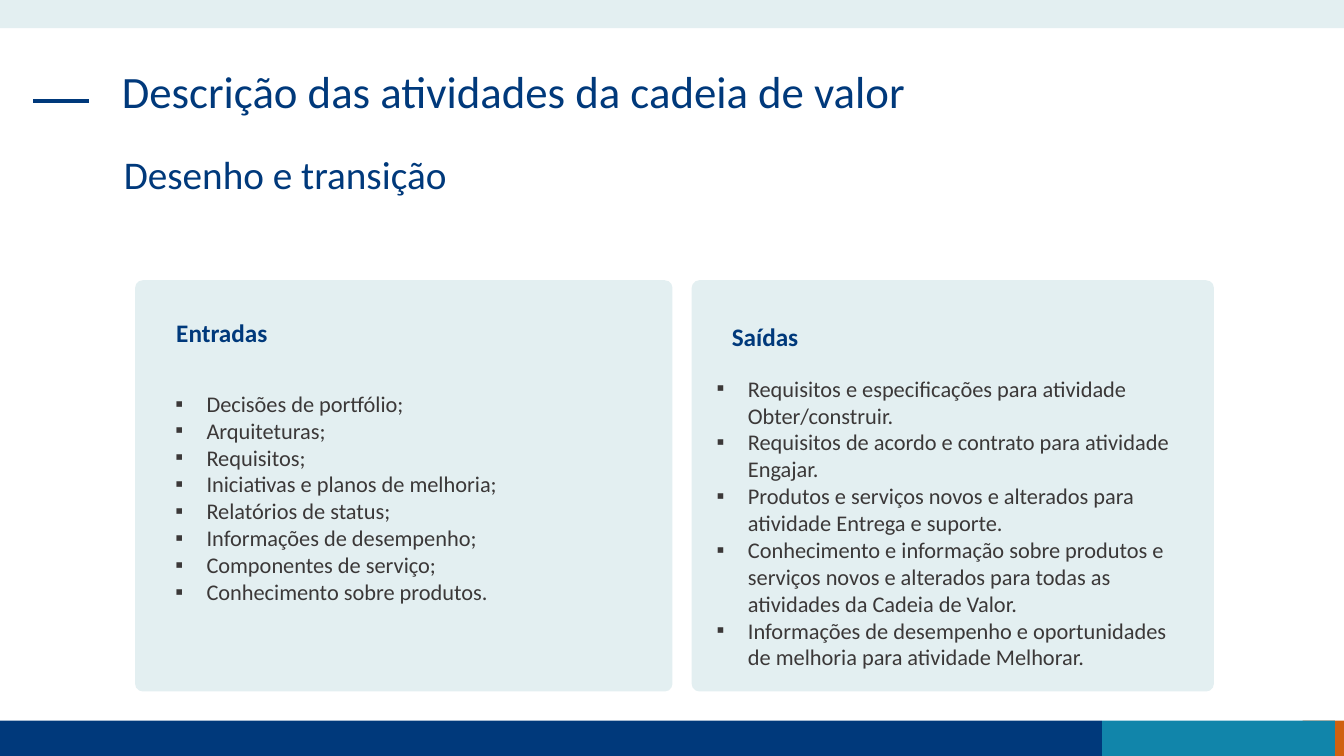
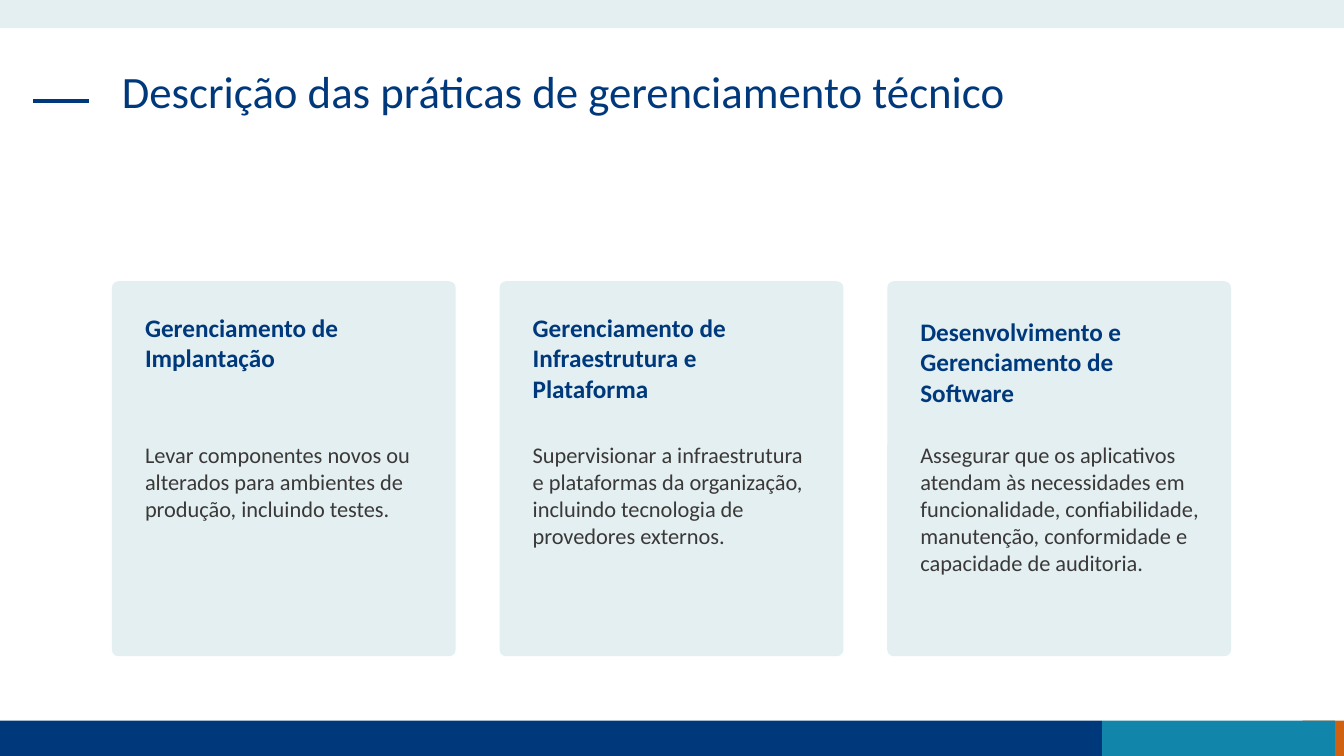
from pptx import Presentation
from pptx import util as u
from pptx.dml.color import RGBColor
from pptx.enum import shapes, text
from pptx.oxml.ns import qn
from lxml import etree


class Theme:
    navy = RGBColor.from_string("00397B")
    teal = RGBColor.from_string("1185AA")
    orange = RGBColor.from_string("D06110")
    pale = RGBColor.from_string("E3EFF1")
    body_ink = RGBColor.from_string("3B3838")
    font = "Calibri"
    title_size = u.Pt(32)
    subtitle_size = u.Pt(28)
    heading_size = u.Pt(18)
    body_size = u.Pt(16)
    indent = u.Inches(0.31)


def add_panel(slide, box, color, kind=shapes.MSO_SHAPE.RECTANGLE):
    panel = slide.shapes.add_shape(kind, *map(u.Inches, box))
    panel.shadow.inherit = False
    panel.fill.solid()
    panel.fill.fore_color.rgb = color
    panel.line.fill.background()
    return panel


def add_text(slide, box, lines, size, color, bold=False, spacing=None, bullets=False):
    frame = slide.shapes.add_textbox(*map(u.Inches, box)).text_frame
    frame.word_wrap = True
    frame.vertical_anchor = text.MSO_ANCHOR.TOP
    frame.text = "\n".join(lines)
    for paragraph in frame.paragraphs:
        if spacing:
            paragraph.line_spacing = spacing
        if bullets:
            props = paragraph._p.get_or_add_pPr()
            props.set("marL", str(Theme.indent))
            props.set("indent", str(-Theme.indent))
            etree.SubElement(props, qn("a:buFont")).set("typeface", "Arial")
            etree.SubElement(props, qn("a:buChar")).set("char", "▪")
        for run in paragraph.runs:
            run.font.name = Theme.font
            run.font.size = size
            run.font.bold = bold
            run.font.color.rgb = color


bands = [
    ((12.92, 7.15, 0.41, 0.35), Theme.orange),
    ((0, 7.15, 10.93, 0.35), Theme.navy),
    ((10.93, 7.15, 2.31, 0.35), Theme.teal),
    ((0, 0, 13.33, 0.28), Theme.pale),
]

inputs = [
    "Decisões de portfólio;",
    "Arquiteturas;",
    "Requisitos;",
    "Iniciativas e planos de melhoria;",
    "Relatórios de status;",
    "Informações de desempenho;",
    "Componentes de serviço;",
    "Conhecimento sobre produtos.",
]
outputs = [
    "Requisitos e especificações para atividade Obter/construir.",
    "Requisitos de acordo e contrato para atividade Engajar.",
    "Produtos e serviços novos e alterados para atividade Entrega e suporte.",
    "Conhecimento e informação sobre produtos e serviços novos e alterados "
    "para todas as atividades da Cadeia de Valor.",
    "Informações de desempenho e oportunidades de melhoria para atividade Melhorar.",
]
activity_cards = [
    ((1.34, 2.78, 5.33, 4.08), "Entradas", (1.65, 3.1, 2.96, 0.4),
     inputs, (1.64, 3.82, 4.72, 2.26)),
    ((6.86, 2.78, 5.18, 4.08), "Saídas", (7.16, 3.14, 2.96, 0.4),
     outputs, (7.01, 3.67, 4.88, 3.06)),
]

practices = [
    ("Gerenciamento de Implantação", 3.05,
     "Levar componentes novos ou alterados para ambientes de produção, "
     "incluindo testes."),
    ("Gerenciamento de Infraestrutura e Plataforma", 3.05,
     "Supervisionar a infraestrutura e plataformas da organização, "
     "incluindo tecnologia de provedores externos."),
    ("Desenvolvimento e Gerenciamento de Software", 3.09,
     "Assegurar que os aplicativos atendam às necessidades em funcionalidade, "
     "confiabilidade, manutenção, conformidade e capacidade de auditoria."),
]
practice_cards = []
for column, (practice, heading_top, summary) in enumerate(practices):
    left = 1.11 + column * 3.845
    practice_cards.append((
        (left, 2.79, 3.41, 3.72), practice, (left + 0.23, heading_top, 2.96, 1.01),
        [summary], (left + 0.23, 4.33, 2.96, 1.72),
    ))

pages = [
    ("Descrição das atividades da cadeia de valor", "Desenho e transição", activity_cards),
    ("Descrição das práticas de gerenciamento técnico", None, practice_cards),
]

deck = Presentation()
deck.slide_width = u.Inches(13.33)
deck.slide_height = u.Inches(7.5)

for title, subtitle, cards in pages:
    slide = deck.slides.add_slide(deck.slide_layouts[6])
    for box, color in bands:
        add_panel(slide, box, color)

    title_dash = slide.shapes.add_connector(
        shapes.MSO_CONNECTOR.STRAIGHT,
        u.Inches(0.33), u.Inches(1), u.Inches(0.88), u.Inches(1))
    title_dash.line.color.rgb = Theme.navy
    title_dash.line.width = u.Pt(3)
    etree.SubElement(title_dash._element.spPr, qn("a:effectLst"))

    add_text(slide, (1.11, 0.64, 11.1, 0.94), [title],
             Theme.title_size, Theme.navy, spacing=0.9)
    if subtitle:
        add_text(slide, (1.13, 1.49, 3.95, 0.59), [subtitle],
                 Theme.subtitle_size, Theme.navy, spacing=0.9)

    for card_box, heading, heading_box, lines, body_box in cards:
        card = add_panel(slide, card_box, Theme.pale, shapes.MSO_SHAPE.ROUNDED_RECTANGLE)
        card.adjustments[0] = 0.019
        add_text(slide, heading_box, [heading], Theme.heading_size, Theme.navy, bold=True)
        add_text(slide, body_box, lines, Theme.body_size, Theme.body_ink,
                 bullets=len(lines) > 1)

deck.save("out.pptx")
